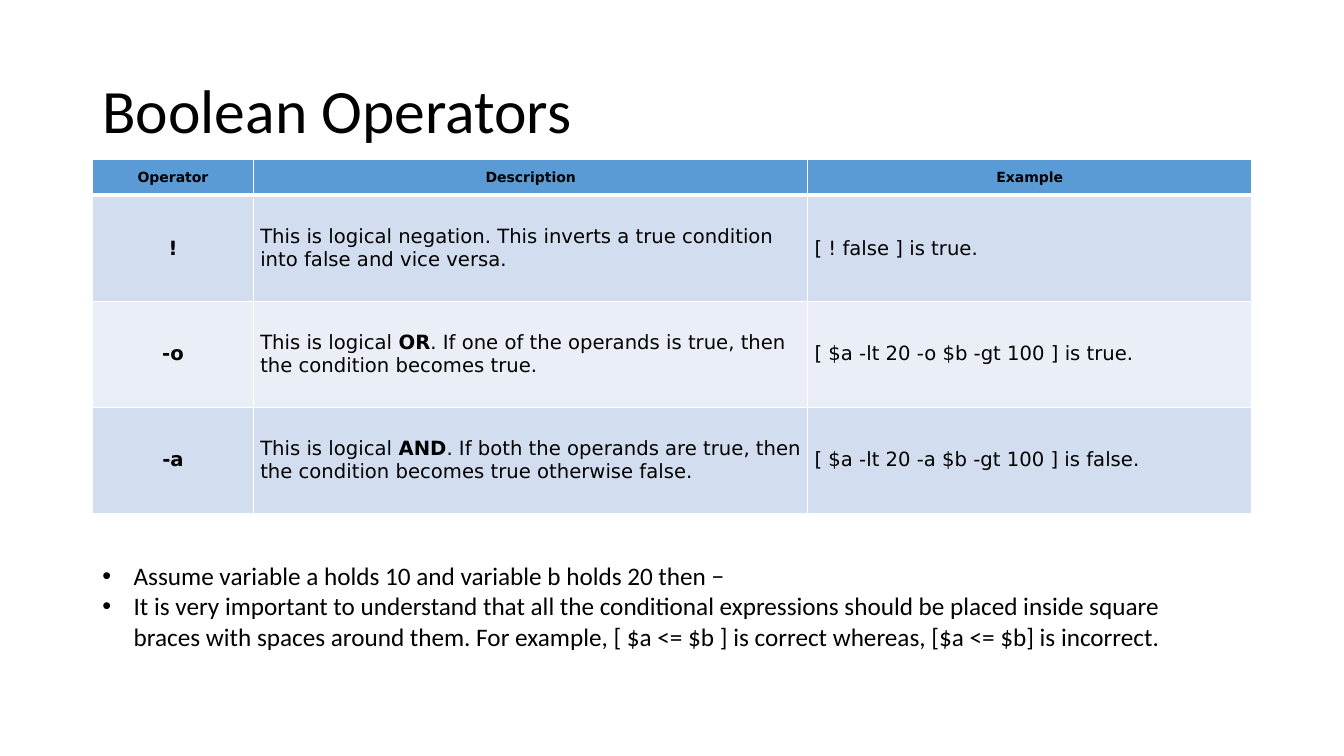
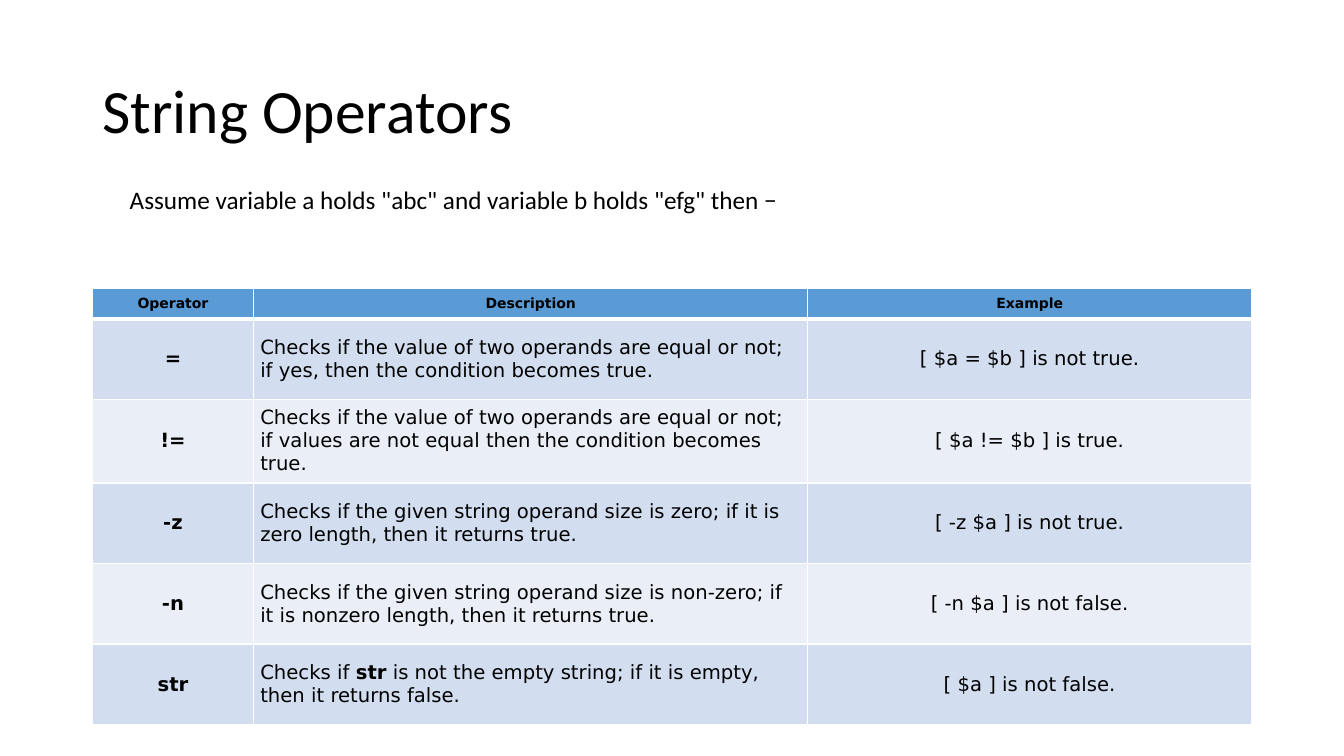
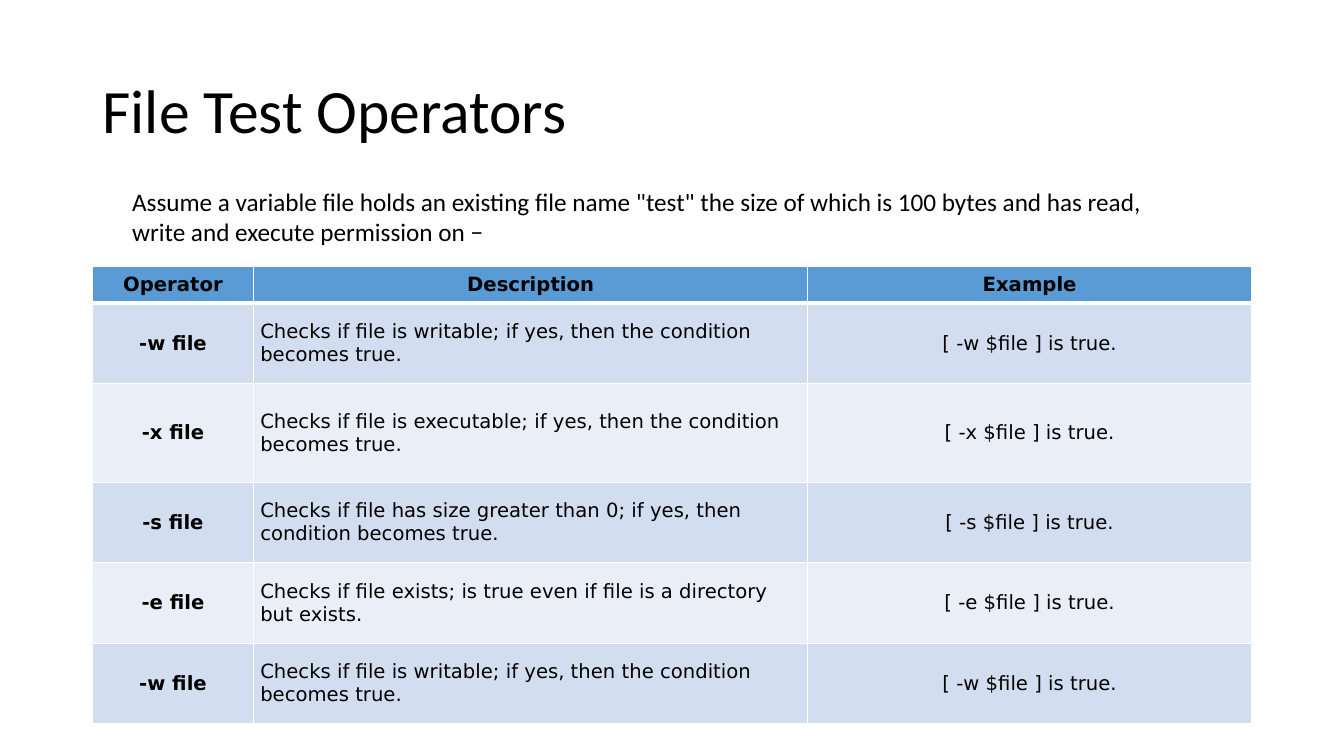
import dataclasses
import typing

import lxml.etree
import pptx
import pptx.dml.color
import pptx.enum.text
import pptx.oxml.ns
import pptx.util

Cm = pptx.util.Cm
Pt = pptx.util.Pt
qn = pptx.oxml.ns.qn
ALIGN = pptx.enum.text.PP_ALIGN
MIDDLE = pptx.enum.text.MSO_ANCHOR.MIDDLE


# Theme
@dataclasses.dataclass(frozen=True)
class Theme:
    ink: str = "000000"
    head: str = "5B9BD5"
    bands: tuple[str, str] = ("D2DEEF", "EAEFF7")
    rule: str = "FFFFFF"
    font: str = "Calibri"
    mono: str = "DejaVu Sans"
    title: int = 44
    note: int = 18
    cell: int = 14
    thin: int = 1
    thick: int = 3


THEME = Theme()

# Shared grid, in centimetres
LEFT, WIDTH = 2.33, 29.21
COLS = (4.06, 13.97, 11.18)
INSET = 0.17
INDENT = 0.79
HEADS = ("Operator", "Description", "Example")


class Box(typing.NamedTuple):
    left: float
    top: float
    width: float
    height: float

    def place(self) -> tuple[int, ...]:
        return tuple(Cm(side) for side in self)


class Row(typing.NamedTuple):
    sign: str
    about: str  # words between asterisks are bold
    sample: str
    height: float = 2.03


class Note(typing.NamedTuple):
    box: Box
    lines: tuple[str, ...]
    bullets: bool = False


@dataclasses.dataclass(frozen=True)
class Page:
    title: str
    note: Note
    top: float
    head: float
    rows: tuple[Row, ...]
    size: int = 10
    align: ALIGN = ALIGN.CENTER


# Content
PAGES = (
    Page(
        "Boolean Operators",
        Note(
            Box(LEFT, 14, 27.71, 3.58),
            (
                "Assume variable a holds 10 and variable b holds 20 then −",
                "It is very important to understand that all the conditional "
                "expressions should be placed inside square braces with spaces "
                "around them. For example, [ $a <= $b ] is correct whereas, "
                "[$a <= $b] is incorrect.",
            ),
            bullets=True,
        ),
        top=4.02,
        head=0.9,
        rows=(
            Row("!", "This is logical negation. This inverts a true condition "
                "into false and vice versa.", "[ ! false ] is true.", 2.67),
            Row("-o", "This is logical *OR*. If one of the operands is true, "
                "then the condition becomes true.",
                "[ $a -lt 20 -o $b -gt 100 ] is true.", 2.67),
            Row("-a", "This is logical *AND*. If both the operands are true, "
                "then the condition becomes true otherwise false.",
                "[ $a -lt 20 -a $b -gt 100 ] is false.", 2.67),
        ),
        align=ALIGN.LEFT,
    ),
    Page(
        "String Operators",
        Note(
            Box(3.02, 4.52, 26.34, 1.02),
            ('Assume variable a holds "abc" and variable b holds "efg" then −',),
        ),
        top=7.27,
        head=0.76,
        rows=(
            Row("=", "Checks if the value of two operands are equal or not; "
                "if yes, then the condition becomes true.",
                "[ $a = $b ] is not true."),
            Row("!=", "Checks if the value of two operands are equal or not; "
                "if values are not equal then the condition becomes true.",
                "[ $a != $b ] is true.", 2.11),
            Row("-z", "Checks if the given string operand size is zero; "
                "if it is zero length, then it returns true.",
                "[ -z $a ] is not true."),
            Row("-n", "Checks if the given string operand size is non-zero; "
                "if it is nonzero length, then it returns true.",
                "[ -n $a ] is not false."),
            Row("str", "Checks if *str* is not the empty string; "
                "if it is empty, then it returns false.",
                "[ $a ] is not false."),
        ),
    ),
    Page(
        "File Test Operators",
        Note(
            Box(3.08, 4.57, 26.47, 1.8),
            ('Assume a variable file holds an existing file name "test" the '
             "size of which is 100 bytes and has read, write and execute "
             "permission on −",),
        ),
        top=6.72,
        head=0.9,
        rows=(
            Row("-w file", "Checks if file is writable; if yes, then the "
                "condition becomes true.", "[ -w $file ] is true."),
            Row("-x file", "Checks if file is executable; if yes, then the "
                "condition becomes true.", "[ -x $file ] is true.", 2.48),
            Row("-s file", "Checks if file has size greater than 0; if yes, "
                "then condition becomes true.", "[ -s $file ] is true."),
            Row("-e file", "Checks if file exists; is true even if file is a "
                "directory but exists.", "[ -e $file ] is true."),
            Row("-w file", "Checks if file is writable; if yes, then the "
                "condition becomes true.", "[ -w $file ] is true."),
        ),
        size=THEME.cell,
    ),
)


# Text helpers
def rgb(code: str) -> pptx.dml.color.RGBColor:
    return pptx.dml.color.RGBColor.from_string(code)


def style(para, size: int, face: str, align: ALIGN = ALIGN.LEFT) -> None:
    para.alignment = align
    for run in para.runs:
        run.font.size = Pt(size)
        run.font.name = face
        run.font.color.rgb = rgb(THEME.ink)


def mark(para) -> None:
    """Give a paragraph a hanging bullet."""
    props = para._p.get_or_add_pPr()
    props.set("marL", str(Cm(INDENT)))
    props.set("indent", str(-Cm(INDENT)))
    lxml.etree.SubElement(props, qn("a:buFont")).set("typeface", "Arial")
    lxml.etree.SubElement(props, qn("a:buChar")).set("char", "•")


# Table helpers
def edge(cell, top: int, base: int) -> None:
    """Draw the four cell borders; they come before the fill."""
    props = cell._tc.get_or_add_tcPr()
    sides = {"L": THEME.thin, "R": THEME.thin, "T": top, "B": base}
    for spot, (side, width) in enumerate(sides.items()):
        line = lxml.etree.Element(qn(f"a:ln{side}"), w=str(Pt(width)))
        fill = lxml.etree.SubElement(line, qn("a:solidFill"))
        lxml.etree.SubElement(fill, qn("a:srgbClr")).set("val", THEME.rule)
        props.insert(spot, line)


def write(cell, text: str, size: int, align: ALIGN, bold: bool) -> None:
    para = cell.text_frame.paragraphs[0]
    for turn, part in enumerate(text.split("*")):
        run = para.add_run()
        run.text = part
        run.font.bold = bold or turn % 2 == 1
    style(para, size, THEME.mono, align)
    cell.vertical_anchor = MIDDLE
    cell.margin_left = cell.margin_right = Cm(INSET)
    cell.margin_top = cell.margin_bottom = Cm(INSET)


# Slide parts
def add_title(slide, text: str) -> None:
    shape = slide.shapes.title
    shape.left, shape.top, shape.width, shape.height = Box(
        LEFT, 1.01, WIDTH, 3.68).place()
    frame = shape.text_frame
    frame.text = text
    frame.vertical_anchor = MIDDLE
    para = frame.paragraphs[0]
    para.line_spacing = 0.9
    style(para, THEME.title, THEME.font)


def add_grid(slide, page: Page) -> None:
    tall = (page.head, *(row.height for row in page.rows))
    box = Box(LEFT, page.top, WIDTH, sum(tall))
    grid = slide.shapes.add_table(len(tall), len(COLS), *box.place()).table
    grid.horz_banding = False
    for col, width in zip(grid.columns, COLS):
        col.width = Cm(width)
    for line, height in zip(grid.rows, tall):
        line.height = Cm(height)

    texts = (HEADS, *(row[:3] for row in page.rows))
    for at, words in enumerate(texts):
        head = at == 0
        tint = THEME.head if head else THEME.bands[(at - 1) % 2]
        size = page.size if head else THEME.cell
        aligns = (ALIGN.CENTER, ALIGN.LEFT, page.align)
        for col, text in enumerate(words):
            cell = grid.cell(at, col)
            align = ALIGN.CENTER if head else aligns[col]
            write(cell, text, size, align, head or col == 0)
            cell.fill.solid()
            cell.fill.fore_color.rgb = rgb(tint)
            edge(cell, THEME.thick if at == 1 else THEME.thin,
                 THEME.thick if head else THEME.thin)


def add_note(slide, note: Note) -> None:
    frame = slide.shapes.add_textbox(*note.box.place()).text_frame
    frame.word_wrap = True
    frame.text = "\n".join(note.lines)
    for para in frame.paragraphs:
        style(para, THEME.note, THEME.font)
        if note.bullets:
            mark(para)


def main() -> None:
    deck = pptx.Presentation()
    deck.slide_width, deck.slide_height = Cm(33.87), Cm(19.05)
    plain = deck.slide_layouts.get_by_name("Title Only")
    for page in PAGES:
        slide = deck.slides.add_slide(plain)
        add_title(slide, page.title)
        add_grid(slide, page)
        add_note(slide, page.note)
    deck.save("out.pptx")


if __name__ == "__main__":
    main()
